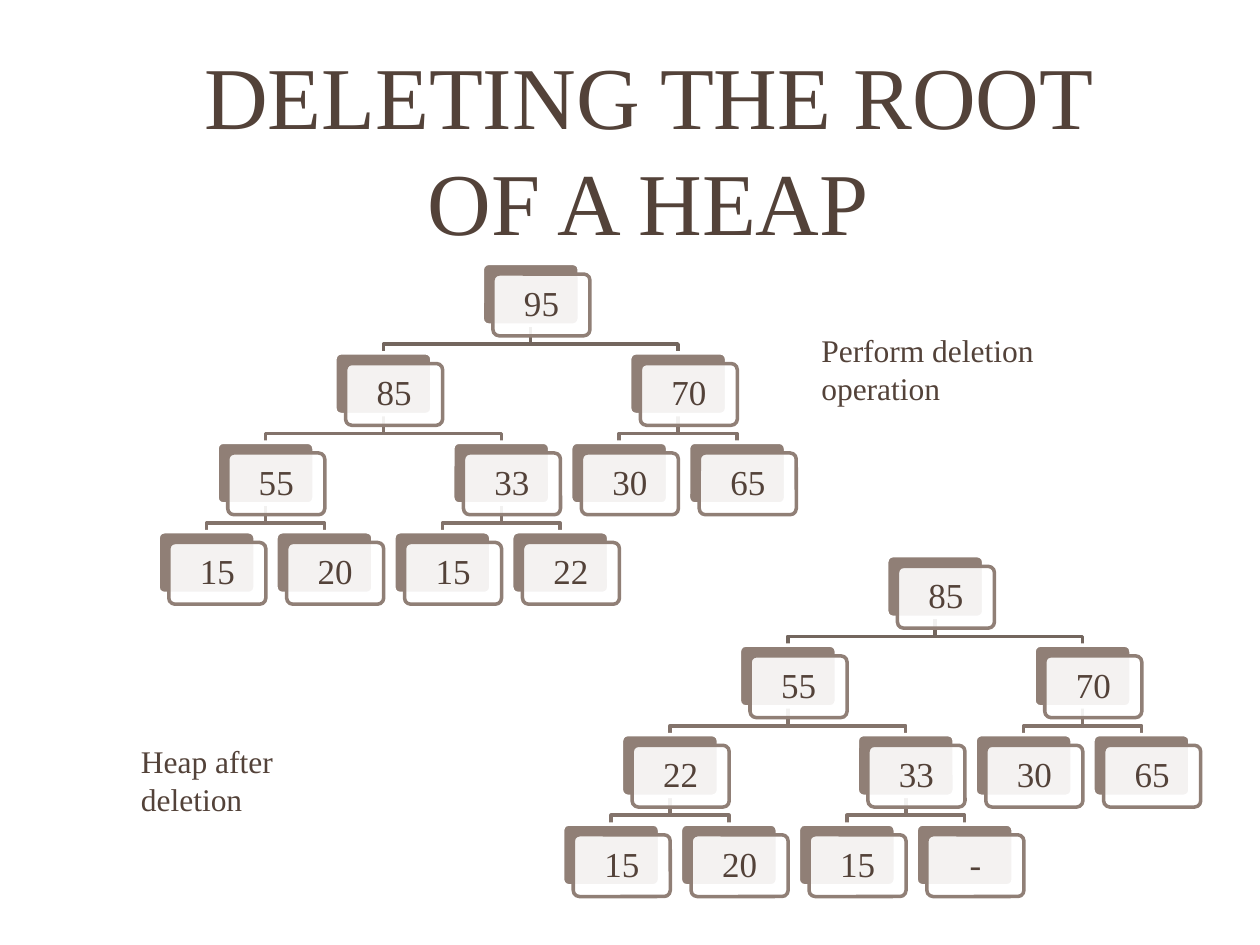
from lxml import etree
from pptx import Presentation
from pptx import util as u
from pptx.dml.color import RGBColor
from pptx.enum import shapes, text
from pptx.oxml import ns

FONT = "Times New Roman"
INK, CARD, WHITE = "534239", "907F76", "FFFFFF"
STEM, TWIG = "73665E", "83736B"

# Tree grid: column of each node in level order, cell and card sizes
COLS = [5.5, 3, 8, 1, 5, 7, 9, 0, 2, 4, 6]
STEP, ROW = 4.21 / 9, 0.71
WIDE, HIGH = 0.77, 0.49
SHIFT, EDGE = 0.085, 0.015
DROP = 0.15

BEFORE = ["95", "85", "70", "55", "33", "30", "65", "15", "20", "15", "22"]
AFTER = ["85", "55", "70", "22", "33", "30", "65", "15", "20", "15", "-"]


def color(code):
    return RGBColor.from_string(code)


def write(home, box, lines, size, align, anchor, pad=None, lead=None):
    """Add a text box with one run for each line."""
    item = home.shapes.add_textbox(*map(u.Inches, box))
    frame = item.text_frame
    frame.word_wrap = True
    frame.vertical_anchor = anchor
    if pad is not None:
        frame.margin_left = frame.margin_right = u.Inches(pad)
        frame.margin_top = frame.margin_bottom = u.Inches(pad)
    para = frame.paragraphs[0]
    para.alignment = align
    if lead:
        para.line_spacing = lead
    for i, line in enumerate(lines):
        if i:
            para.add_line_break()
        run = para.add_run()
        run.text = line
        run.font.name = FONT
        run.font.size = u.Pt(size)
        run.font.color.rgb = color(INK)


def card(home, x, y, fill, line, alpha=None):
    """Add one rounded card, see-through if alpha is given."""
    item = home.shapes.add_shape(shapes.MSO_SHAPE.ROUNDED_RECTANGLE,
                                 *map(u.Inches, (x, y, WIDE, HIGH)))
    item.adjustments[0] = 0.1
    item.shadow.inherit = False
    item.fill.solid()
    item.fill.fore_color.rgb = color(fill)
    item.line.color.rgb = color(line)
    item.line.width = u.Pt(2)
    if alpha:
        tone = item.fill._xPr.find(".//" + ns.qn("a:srgbClr"))
        etree.SubElement(tone, ns.qn("a:alpha"), val=str(alpha * 1000))


def node(home, mid, top, label):
    """Add a back card, a shifted front card and the label."""
    x = mid - WIDE / 2
    card(home, x, top, CARD, WHITE)
    card(home, x + SHIFT, top + SHIFT, WHITE, CARD, 90)
    gap = SHIFT + EDGE
    box = (x + gap, top + gap, WIDE - 2 * EDGE, HIGH - 2 * EDGE)
    write(home, box, [label], 20, text.PP_ALIGN.CENTER,
          text.MSO_ANCHOR.MIDDLE, 0.08, 0.9)


def branch(home, start, end, tone):
    """Add an elbow from a parent's foot to a child's head."""
    (x, y), (to, foot) = start, end
    y += HIGH
    pen = home.shapes.build_freeform(u.Inches(x), u.Inches(y))
    bends = [(x, y + DROP), (to, y + DROP), (to, foot)]
    pen.add_line_segments([tuple(map(u.Inches, p)) for p in bends], close=False)
    item = pen.convert_to_shape()
    item.shadow.inherit = False
    item.fill.background()
    item.line.color.rgb = color(tone)
    item.line.width = u.Pt(2)


def tree(slide, left, top, heap):
    """Draw a heap given in level order; node i hangs from (i - 1) // 2."""
    home = slide.shapes.add_group_shape()
    spots = [(left + col * STEP, top + ((i + 1).bit_length() - 1) * ROW)
             for i, col in enumerate(COLS)]
    for i in range(len(heap) - 1, 0, -1):
        up = (i - 1) // 2
        branch(home, spots[up], spots[i], TWIG if up else STEM)
    for (mid, y), label in zip(spots, heap):
        node(home, mid, y, label)


def main():
    deck = Presentation()
    deck.slide_width, deck.slide_height = u.Inches(10), u.Inches(7.5)
    slide = deck.slides.add_slide(deck.slide_layouts[6])

    # Title
    write(slide, (1.02, 0.42, 8.25, 1.5), ["DELETING THE ROOT OF A HEAP"], 50.4,
          text.PP_ALIGN.CENTER, text.MSO_ANCHOR.MIDDLE)

    # Heap before deletion
    tree(slide, 1.64, 2.09, BEFORE)
    side = text.PP_ALIGN.LEFT, text.MSO_ANCHOR.TOP
    write(slide, (6.42, 2.58, 2.87, 0.4), ["Perform deletion", "operation"], 18, *side)

    # Heap after deletion
    tree(slide, 4.85, 4.41, AFTER)
    write(slide, (1.02, 5.84, 2.08, 0.4), ["Heap after", "deletion"], 18, *side)

    deck.save("out.pptx")


if __name__ == "__main__":
    main()
